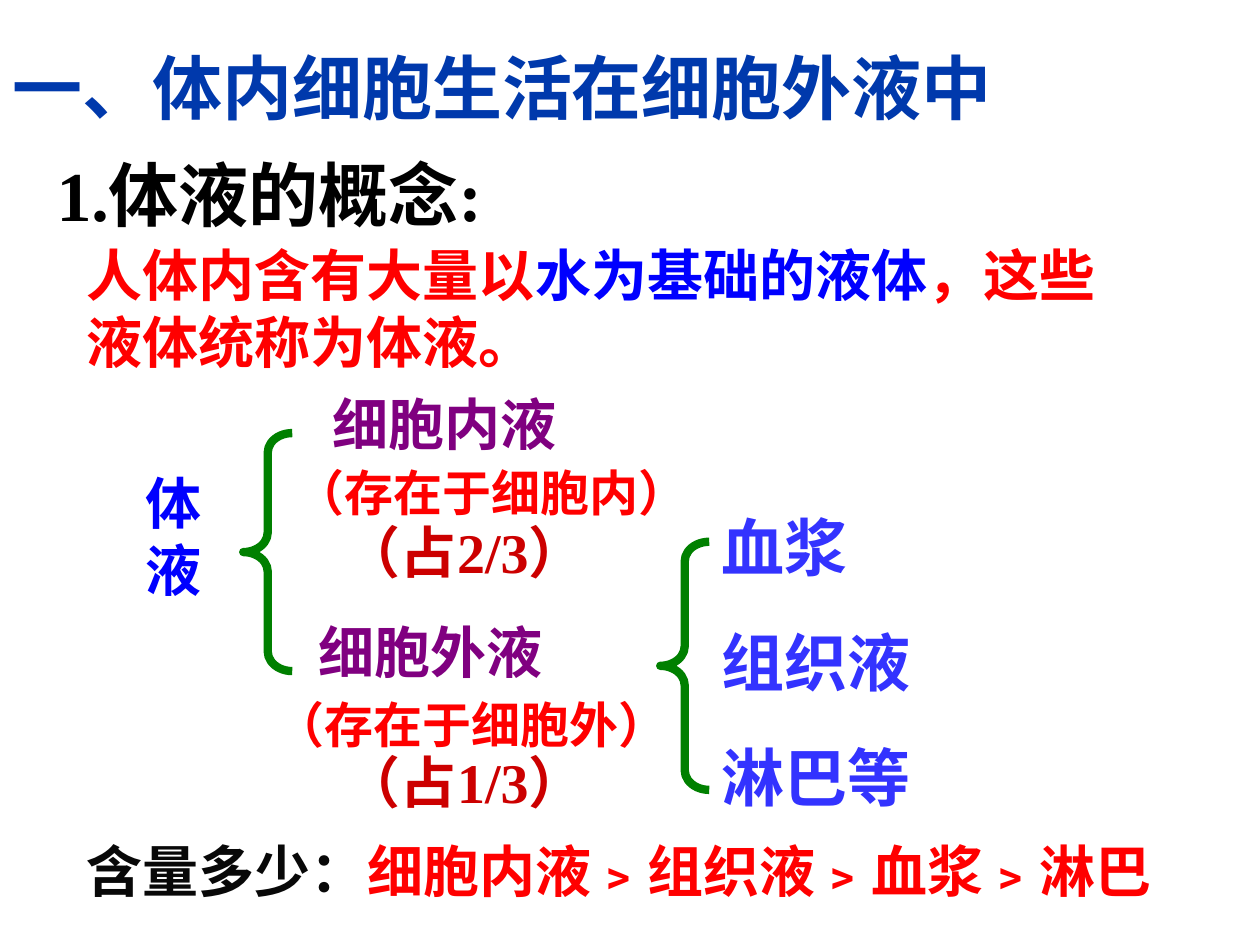
from dataclasses import dataclass

from lxml.etree import SubElement
from pptx import Presentation
from pptx.dml.color import RGBColor
from pptx.enum.shapes import MSO_SHAPE
from pptx.enum.text import MSO_ANCHOR, MSO_AUTO_SIZE, PP_ALIGN
from pptx.oxml.ns import qn
from pptx.util import Pt


@dataclass(frozen=True)
class Theme:
    navy: str = "0039AC"
    black: str = "000000"
    ink: str = "080808"
    blue: str = "0000FF"
    sky: str = "3333FF"
    red: str = "FF0000"
    brick: str = "CC0000"
    plum: str = "800080"
    green: str = "008000"
    head: int = 40
    fluid: int = 36
    body: int = 32
    note: int = 28
    stroke: float = 4.75
    hans: str = "Noto Sans CJK SC"
    sans: str = "Arial"
    serif: str = "Times New Roman"


THEME = Theme()


@dataclass(frozen=True)
class Box:
    left: float
    top: float
    width: float
    height: float

    def place(self) -> tuple:
        return tuple(Pt(n) for n in (self.left, self.top, self.width, self.height))


@dataclass(frozen=True)
class Label:
    """Text in a box; each line is a list of (text, colour) runs."""
    box: Box
    lines: list
    size: int
    font: str = THEME.hans
    wrap: bool = True
    gap: float = 0


def fill_text(frame, label: Label) -> None:
    frame.word_wrap = label.wrap
    frame.auto_size = (MSO_AUTO_SIZE.SHAPE_TO_FIT_TEXT if label.wrap
                       else MSO_AUTO_SIZE.NONE)
    frame.vertical_anchor = MSO_ANCHOR.TOP
    for i, line in enumerate(label.lines):
        para = frame.add_paragraph() if i else frame.paragraphs[0]
        para.alignment = PP_ALIGN.LEFT
        if i and label.gap:
            para.space_before = Pt(label.gap)
        for text, tint in line:
            run = para.add_run()
            run.text = text
            font = run.font
            font.size = Pt(label.size)
            font.bold = True
            font.color.rgb = RGBColor.from_string(tint)
            font.name = label.font
            # Chinese glyphs use the East Asian font slot
            SubElement(run._r.get_or_add_rPr(), qn("a:ea"), typeface=THEME.hans)


def add_label(slide, label: Label) -> None:
    fill_text(slide.shapes.add_textbox(*label.box.place()).text_frame, label)


def add_brace(slide, box: Box) -> None:
    brace = slide.shapes.add_shape(MSO_SHAPE.LEFT_BRACE, *box.place())
    brace.adjustments[0] = 0.4
    brace.shadow.inherit = False
    brace.fill.background()
    brace.line.color.rgb = RGBColor.from_string(THEME.green)
    brace.line.width = Pt(THEME.stroke)


TITLE = Label(Box(0, 21.6, 700.5, 55.4),
              [[("一、体内细胞生活在细胞外液中", THEME.navy)]], THEME.head)

LABELS = [
    Label(Box(25.2, 82.8, 312, 103.7), [[("1.体液的概念:", THEME.black)]],
          THEME.head, THEME.serif),
    Label(Box(42.5, 134, 617.8, 84.2),
          [[("人体内含有大量以", THEME.red), ("水为基础的液体", THEME.blue),
            ("，这些液体统称为体液。", THEME.red)]], THEME.body),
    Label(Box(76.3, 264.2, 56.9, 102.2),
          [[("体", THEME.blue)], [("液", THEME.blue)]], THEME.body, wrap=False),
    Label(Box(182.9, 218.9, 162.7, 40.3), [[("细胞内液", THEME.plum)]],
          THEME.body, wrap=False),
    Label(Box(162, 260.6, 237.6, 41), [[("（存在于细胞内）", THEME.red)]],
          THEME.note, THEME.sans, wrap=False),
    Label(Box(190, 292.3, 170, 46), [[("（占2/3）", THEME.brick)]],
          THEME.body, THEME.serif),
    Label(Box(175, 349.2, 188.6, 42.5), [[("细胞外液", THEME.plum)]],
          THEME.body, wrap=False),
    Label(Box(150.5, 393.1, 254.9, 41), [[("（存在于细胞外）", THEME.red)]],
          THEME.note, THEME.sans),
    Label(Box(190, 423.4, 204.5, 46), [[("（占1/3）", THEME.brick)]],
          THEME.body, THEME.serif),
    Label(Box(405.4, 287.3, 127.4, 182.2),
          [[(name, THEME.sky)] for name in ("血浆", "组织液", "淋巴等")],
          THEME.fluid, THEME.sans, gap=22.5),
    Label(Box(42.5, 474.5, 652.3, 46),
          [[("含量多少：", THEME.ink), ("细胞内液﹥组织液﹥血浆﹥淋巴", THEME.red)]],
          THEME.body, THEME.serif),
]

BRACES = [Box(139, 247.5, 28, 136), Box(377.3, 309.6, 28, 141.8)]


def main() -> None:
    deck = Presentation()
    deck.slide_width, deck.slide_height = Pt(720), Pt(540)
    slide = deck.slides.add_slide(deck.slide_layouts.get_by_name("Title Only"))
    title = slide.shapes.title
    title.left, title.top, title.width, title.height = TITLE.box.place()
    fill_text(title.text_frame, TITLE)
    for label in LABELS:
        add_label(slide, label)
    for box in BRACES:
        add_brace(slide, box)
    deck.save("out.pptx")


if __name__ == "__main__":
    main()
